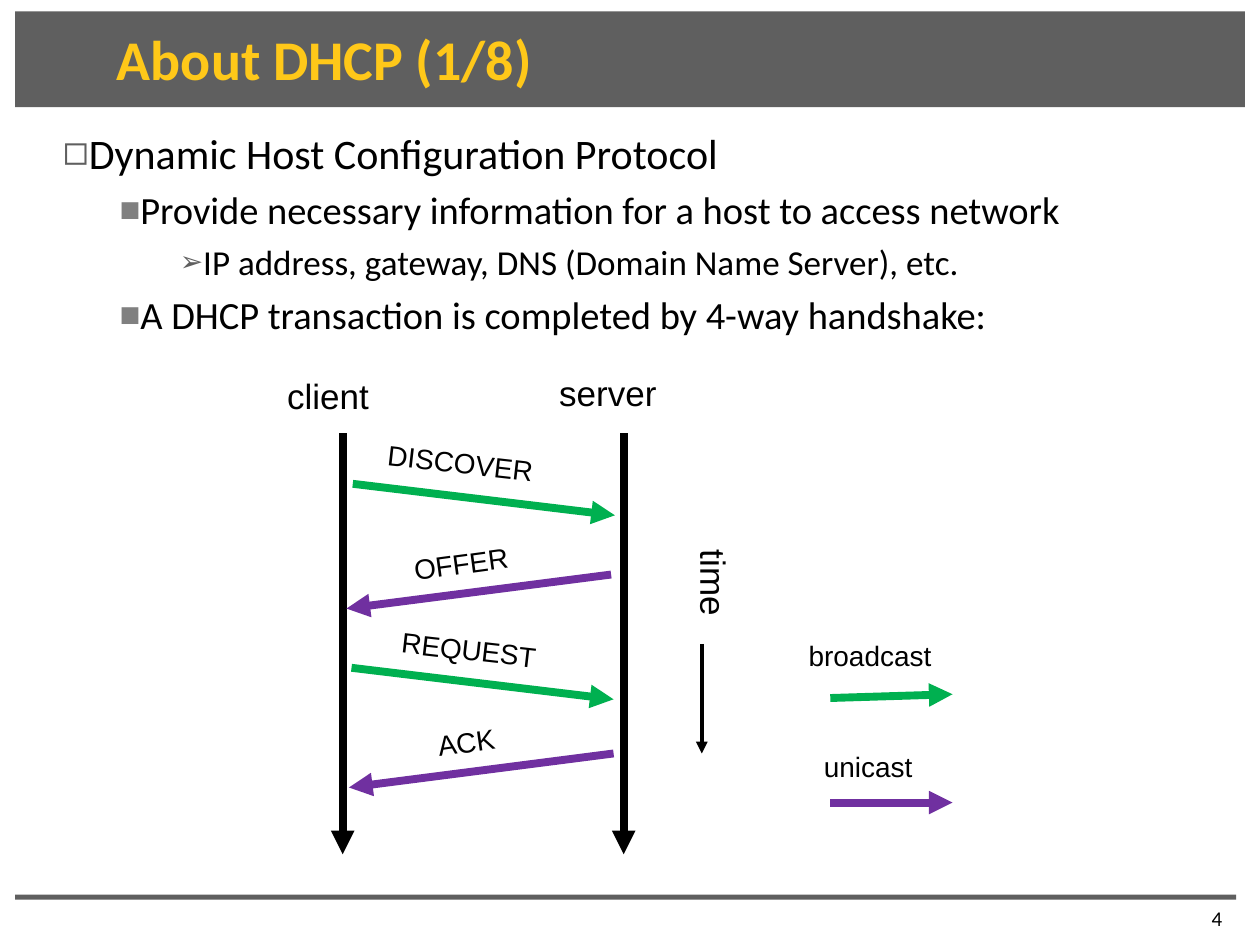
"""Build the slide that explains the DHCP four-way handshake."""
import pptx
import pptx.dml.color
import pptx.enum.shapes
import pptx.enum.text
import pptx.oxml.ns
import pptx.util
from lxml import etree

Inches = pptx.util.Inches
Pt = pptx.util.Pt
qn = pptx.oxml.ns.qn
ALIGN = pptx.enum.text.PP_ALIGN
ANCHOR = pptx.enum.text.MSO_ANCHOR

HUES = {"bar": "5F5F5F", "gold": "FFC819", "ink": "000000", "mark": "808080",
        "broad": "00B050", "uni": "7030A0"}

TITLE = "About DHCP (1/8)"
BODY = [
    (0, "Dynamic Host Configuration Protocol"),
    (1, "Provide necessary information for a host to access network"),
    (2, "IP address, gateway, DNS (Domain Name Server), etc."),
    (1, "A DHCP transaction is completed by 4-way handshake:"),
]
LEVELS = [
    dict(size=24, left=0.38, hang=0.18, gap=5.6, sign="◻", hue="bar", scale=100),
    dict(size=22, left=0.81, hang=0.16, gap=4.8, sign="■", hue="mark", scale=90),
    dict(size=20, left=1.25, hang=0.12, gap=4.8, sign="➢", hue="bar", scale=80),
]
BARS = [(0.12, 0.09, 9.76, 0.76), (0.12, 7.1, 9.69, 0.04)]
HOSTS = [("client", 2.72, (2.18, 2.92, 1.08, 0.55)),
         ("server", 4.95, (4.34, 2.9, 1.24, 0.55))]
STEPS = [
    ("DISCOVER", "broad", (2.8, 3.84), (2.97, 3.51, 1.73, 0.47), 6.6),
    ("OFFER", "uni", (4.85, 4.56), (3.19, 4.27, 1.21, 0.47), -7.7),
    ("REQUEST", "broad", (2.79, 5.3), (3.08, 4.99, 1.62, 0.47), 6.5),
    ("ACK", "uni", (4.87, 5.98), (3.38, 5.69, 0.83, 0.47), -8.2),
]
REACH = {"broad": (2.08, 0.25), "uni": (-2.1, 0.27)}
KEYS = [("broadcast", "broad", 5.54, 5.51, (6.32, 5.02, 1.5, 0.47)),
        ("unicast", "uni", 6.37, 6.37, (6.44, 5.9, 1.15, 0.47))]

deck = pptx.Presentation()
deck.slide_width, deck.slide_height = Inches(10), Inches(7.5)
slide = deck.slides.add_slide(deck.slide_layouts[6])


def shade(hue):
    return pptx.dml.color.RGBColor.from_string(HUES[hue])


def style(para, text, size=16, font="Arial", hue="ink", bold=False):
    run = para.add_run()
    run.text = text
    run.font.size, run.font.name, run.font.bold = Pt(size), font, bold
    run.font.color.rgb = shade(hue)


def frame(box, inset=0.05, anchor=ANCHOR.TOP, turn=0):
    shape = slide.shapes.add_textbox(*map(Inches, box))
    shape.rotation = turn
    area = shape.text_frame
    area.word_wrap, area.vertical_anchor = True, anchor
    area.margin_left = area.margin_right = Inches(0.1)
    area.margin_top = area.margin_bottom = Inches(inset)
    return area


def label(text, box, inset=0.05, anchor=ANCHOR.TOP, turn=0, align=ALIGN.LEFT, **look):
    para = frame(box, inset, anchor, turn).paragraphs[0]
    para.alignment = align
    style(para, text, **look)


def arrow(start, end, hue="ink", width=4.5):
    line = slide.shapes.add_connector(
        pptx.enum.shapes.MSO_CONNECTOR.STRAIGHT, *map(Inches, (*start, *end)))
    line.line.color.rgb, line.line.width = shade(hue), Pt(width)
    etree.SubElement(line.line._get_or_add_ln(), qn("a:tailEnd"), type="triangle")
    etree.SubElement(line._element.spPr, qn("a:effectLst"))


def bullet(para, left, hang, sign, hue, scale):
    props = para._p.get_or_add_pPr()
    props.set("marL", str(Inches(left)))
    props.set("indent", str(-Inches(hang)))
    tint = etree.SubElement(props, qn("a:buClr"))
    etree.SubElement(tint, qn("a:srgbClr"), val=HUES[hue])
    etree.SubElement(props, qn("a:buSzPct"), val=str(scale * 1000))
    etree.SubElement(props, qn("a:buFont"), typeface="Arial")
    etree.SubElement(props, qn("a:buChar"), char=sign)


def main():
    for box in BARS:
        bar = slide.shapes.add_shape(
            pptx.enum.shapes.MSO_SHAPE.RECTANGLE, *map(Inches, box))
        bar.shadow.inherit = False
        bar.fill.solid()
        bar.fill.fore_color.rgb = shade("bar")
        bar.line.fill.background()

    label(TITLE, (0.83, 0.21, 9.17, 0.5), inset=0.1, anchor=ANCHOR.MIDDLE,
          size=32, font="Calibri", hue="gold", bold=True)

    area = frame((0.2, 0.91, 9.61, 6.22), inset=0.1)
    for spot, (depth, text) in enumerate(BODY):
        para = area.add_paragraph() if spot else area.paragraphs[0]
        rule = dict(LEVELS[depth])
        size = rule.pop("size")
        para.level, para.space_before = depth, Pt(rule.pop("gap"))
        bullet(para, **rule)
        style(para, text, size=size, font="Calibri")

    label("4", (7.36, 7.14, 2.44, 0.35), align=ALIGN.RIGHT, size=12, font="Calibri")

    for name, x, box in HOSTS:
        arrow((x, 3.44), (x, 6.78))
        label(name, box, size=20)
    for name, kind, (x, y), box, turn in STEPS:
        run, drop = REACH[kind]
        arrow((x, y), (x + run, y + drop), kind)
        label(name, box, turn=turn)
    for name, kind, y, end, box in KEYS:
        arrow((6.59, y), (7.56, end), kind)
        label(name, box)

    label("time", (5.15, 4.45, 0.92, 0.55), turn=90, size=20)
    arrow((5.57, 5.11), (5.57, 5.98), width=2.25)
    deck.save("out.pptx")


if __name__ == "__main__":
    main()
